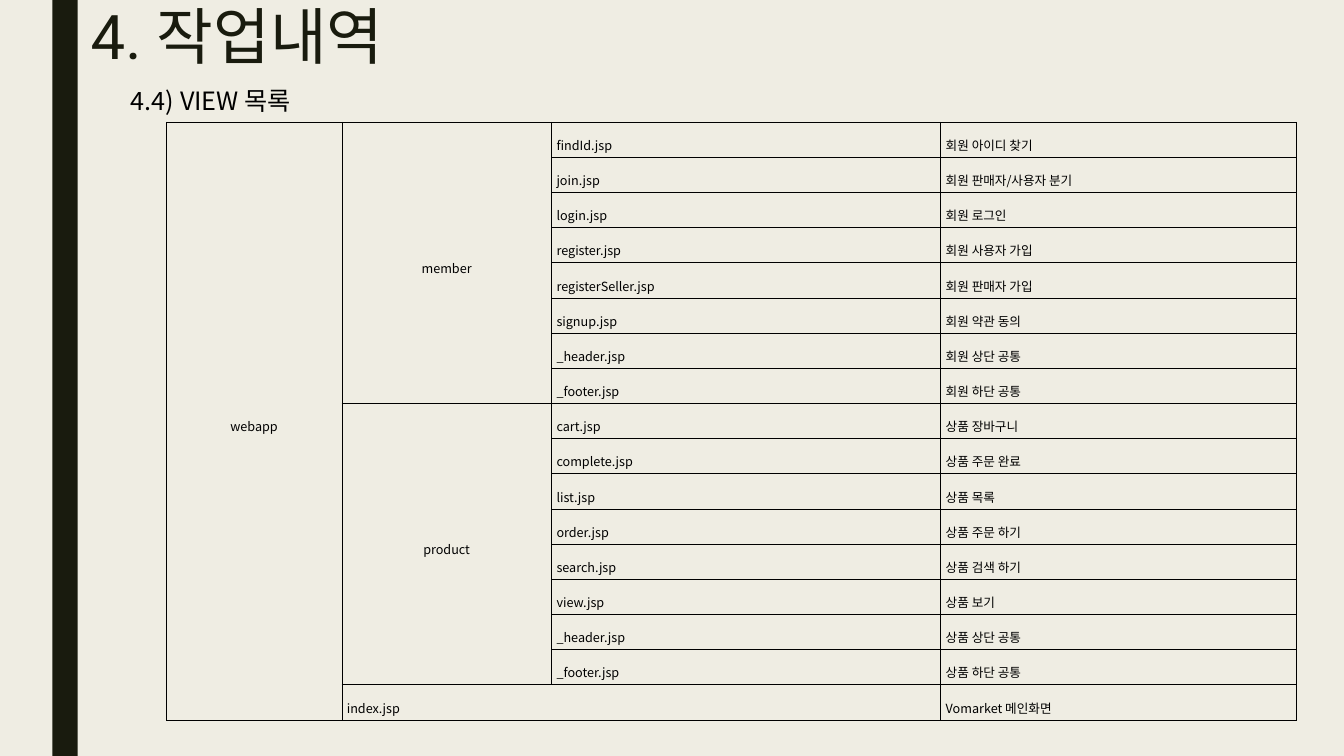
from lxml import etree
from pptx import Presentation
from pptx import util as u
from pptx.dml.color import RGBColor
from pptx.enum import shapes, text
from pptx.oxml import ns

WIDE, HIGH = 13.33, 7.5
DARK, BLACK, PAPER = "191B0E", "000000", "EFEDE3"
KOREAN = "Noto Sans CJK KR"
LEFT, JUST, MID = text.PP_ALIGN.LEFT, text.PP_ALIGN.JUSTIFY, text.PP_ALIGN.CENTER

# Table content: folder, then its files with their meaning
FOLDERS = {
    "member": [
        ("findId.jsp", "회원 아이디 찾기"),
        ("join.jsp", "회원 판매자/사용자 분기"),
        ("login.jsp", "회원 로그인"),
        ("register.jsp", "회원 사용자 가입"),
        ("registerSeller.jsp", "회원 판매자 가입"),
        ("signup.jsp", "회원 약관 동의"),
        ("_header.jsp", "회원 상단 공통"),
        ("_footer.jsp", "회원 하단 공통"),
    ],
    "product": [
        ("cart.jsp", "상품 장바구니"),
        ("complete.jsp", "상품 주문 완료"),
        ("list.jsp", "상품 목록"),
        ("order.jsp", "상품 주문 하기"),
        ("search.jsp", "상품 검색 하기"),
        ("view.jsp", "상품 보기"),
        ("_header.jsp", "상품 상단 공통"),
        ("_footer.jsp", "상품 하단 공통"),
    ],
}
INDEX = ("index.jsp", "Vomarket 메인화면")
COLS = [1.74, 2.08, 3.86, 3.53]
TABLE = (1.65, 1.21, sum(COLS), 5.93)


def paint(color, hexa):
    color.rgb = RGBColor.from_string(hexa)


def fill(part, hexa):
    part.fill.solid()
    paint(part.fill.fore_color, hexa)


def box(at):
    return [u.Inches(n) for n in at]


def write(frame, words, size, hexa, align, space, face=KOREAN):
    frame.text = words
    par = frame.paragraphs[0]
    par.alignment, par.line_spacing = align, space
    par.font.size, par.font.name = u.Pt(size), face
    paint(par.font.color, hexa)
    # East Asian letters need their own font entry
    props = par.font._element
    etree.SubElement(props, ns.qn("a:ea")).set("typeface", KOREAN)


def border(cell, hexa, width):
    props = cell._tc.get_or_add_tcPr()
    for spot, side in enumerate(("lnL", "lnR", "lnT", "lnB")):
        line = etree.Element(ns.qn("a:" + side), w=str(u.Pt(width)))
        solid = etree.SubElement(line, ns.qn("a:solidFill"))
        etree.SubElement(solid, ns.qn("a:srgbClr"), val=hexa)
        props.insert(spot, line)


def label(cell, words, align=JUST):
    write(cell.text_frame, words, 9, BLACK, align, 1.6)


def add_bar(slide):
    bar = slide.shapes.add_shape(shapes.MSO_SHAPE.RECTANGLE, *box((0.52, 0, 0.25, HIGH)))
    bar.shadow.inherit = False
    fill(bar, DARK)
    bar.line.fill.background()


def add_title(slide, words):
    title = slide.shapes.title
    title.left, title.top, title.width, title.height = box((0.8, 0, 10.5, 0.78))
    title.text_frame.vertical_anchor = text.MSO_ANCHOR.MIDDLE
    write(title.text_frame, words, 44, DARK, LEFT, 0.89, "Roboto")


def add_head(slide, words):
    frame = slide.shapes.add_textbox(*box((1.2, 0.62, 7.99, 0.59))).text_frame
    frame.word_wrap = True
    write(frame, words, 18, BLACK, JUST, 1.6)


def add_views(slide):
    count = sum(map(len, FOLDERS.values())) + 1
    table = slide.shapes.add_table(count, len(COLS), *box(TABLE)).table
    table.first_row = table.horz_banding = False
    for col, width in zip(table.columns, COLS):
        col.width = u.Inches(width)
    for row in table.rows:
        row.height = u.Inches(TABLE[3] / count)
    for cell in table.iter_cells():
        cell.vertical_anchor = text.MSO_ANCHOR.MIDDLE
        cell.margin_left = cell.margin_right = u.Inches(0.05)
        cell.margin_top = cell.margin_bottom = u.Inches(0.01)
        cell.fill.background()
        border(cell, BLACK, 0.28)

    # Root folder spans every row
    last = count - 1
    table.cell(0, 0).merge(table.cell(last, 0))
    label(table.cell(0, 0), "webapp", MID)

    # Each folder spans its files
    row = 0
    for name, files in FOLDERS.items():
        table.cell(row, 1).merge(table.cell(row + len(files) - 1, 1))
        label(table.cell(row, 1), name, MID)
        for file, use in files:
            label(table.cell(row, 2), file)
            label(table.cell(row, 3), use)
            row += 1

    # Index page sits directly under the root
    table.cell(last, 1).merge(table.cell(last, 2))
    label(table.cell(last, 1), INDEX[0])
    label(table.cell(last, 3), INDEX[1])


def main():
    deck = Presentation()
    deck.slide_width, deck.slide_height = box((WIDE, HIGH))
    slide = deck.slides.add_slide(deck.slide_layouts.get_by_name("Title Only"))
    fill(slide.background, PAPER)
    add_bar(slide)
    add_title(slide, "4. 작업내역")
    add_head(slide, "4.4) VIEW 목록")
    add_views(slide)
    deck.save("out.pptx")


if __name__ == "__main__":
    main()
